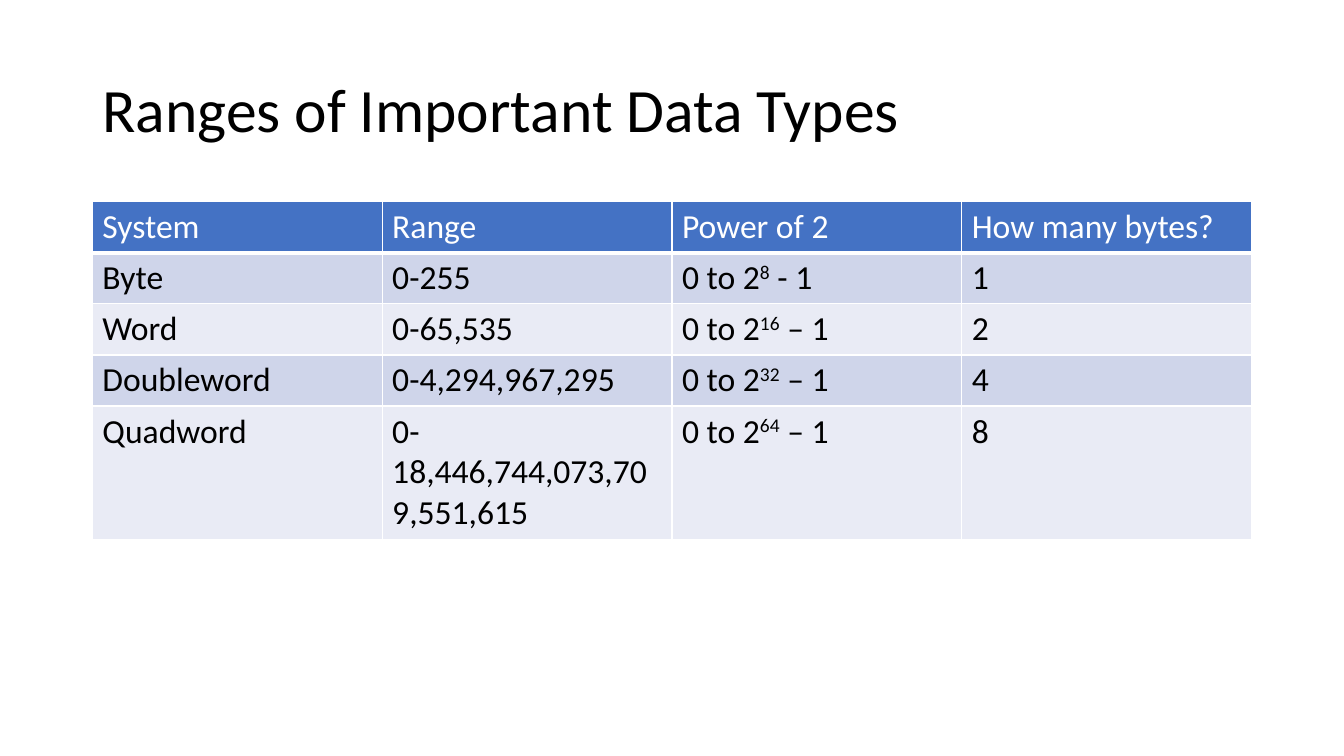
from dataclasses import dataclass

from pptx import Presentation
from pptx.dml.color import RGBColor
from pptx.enum.text import MSO_ANCHOR, MSO_AUTO_SIZE, PP_ALIGN
from pptx.oxml import parse_xml
from pptx.oxml.ns import nsdecls
from pptx.util import Emu, Pt

EMU_PER_PX = 9525
TITLE_ONLY = 5


@dataclass(frozen=True)
class Theme:
    font: str = "Calibri"
    title_size: int = 44
    table_size: int = 24
    text: str = "000000"
    header_text: str = "FFFFFF"
    header_fill: str = "4472C4"
    band_fills: tuple = ("CFD5EA", "E9EBF5")
    border: str = "FFFFFF"
    thin_border: int = 1
    header_border: int = 3


THEME = Theme()

HEADERS = ("System", "Range", "Power of 2", "How many bytes?")
# Each power is split into base, superscript and remainder.
DATA_TYPES = (
    ("Byte", "0-255", ("0 to 2", "8", " - 1"), "1"),
    ("Word", "0-65,535", ("0 to 2", "16", " – 1"), "2"),
    ("Doubleword", "0-4,294,967,295", ("0 to 2", "32", " – 1"), "4"),
    ("Quadword", "0-18,446,744,073,709,551,615", ("0 to 2", "64", " – 1"), "8"),
)


def px(value):
    return Emu(value * EMU_PER_PX)


def format_runs(paragraph, size, color):
    for run in paragraph.runs:
        run.font.name = THEME.font
        run.font.size = Pt(size)
        run.font.bold = False
        run.font.color.rgb = RGBColor.from_string(color)


def add_title(slide, text):
    title = slide.shapes.title
    title.left, title.top, title.width, title.height = map(px, (88, 38, 1104, 139))
    frame = title.text_frame
    frame.text = text
    frame.word_wrap = True
    frame.auto_size = MSO_AUTO_SIZE.NONE
    frame.vertical_anchor = MSO_ANCHOR.MIDDLE
    paragraph = frame.paragraphs[0]
    paragraph.alignment = PP_ALIGN.LEFT
    paragraph.line_spacing = 0.9
    format_runs(paragraph, THEME.title_size, THEME.text)


def set_borders(cell, bottom_width):
    """Draw all four sides; call before filling, since lines precede the fill in XML."""
    properties = cell._tc.get_or_add_tcPr()
    thin = THEME.thin_border
    for side, width in (("L", thin), ("R", thin), ("T", thin), ("B", bottom_width)):
        properties.append(parse_xml(
            f'<a:ln{side} {nsdecls("a")} w="{Pt(width)}"><a:solidFill>'
            f'<a:srgbClr val="{THEME.border}"/></a:solidFill></a:ln{side}>'))


def write_cell(cell, content, fill, color, bottom_width):
    """Write plain text, or a (base, superscript, remainder) tuple."""
    paragraph = cell.text_frame.paragraphs[0]
    if isinstance(content, tuple):
        for part in content:
            paragraph.add_run().text = part
        paragraph.runs[1]._r.get_or_add_rPr().set("baseline", "30000")
    else:
        paragraph.text = content
    format_runs(paragraph, THEME.table_size, color)
    set_borders(cell, bottom_width)
    cell.fill.solid()
    cell.fill.fore_color.rgb = RGBColor.from_string(fill)


def add_data_table(slide, headers, records):
    rows = (headers, *records)
    shape = slide.shapes.add_table(
        len(rows), len(headers), px(88), px(192), px(1104), px(317))
    table = shape.table
    for row in table.rows:
        row.height = px(39)
    shape.height = px(317)
    for row_index, values in enumerate(rows):
        if row_index == 0:
            style = THEME.header_fill, THEME.header_text, THEME.header_border
        else:
            band = THEME.band_fills[(row_index - 1) % 2]
            style = band, THEME.text, THEME.thin_border
        for column_index, content in enumerate(values):
            write_cell(table.cell(row_index, column_index), content, *style)


def main():
    presentation = Presentation()
    presentation.slide_width = px(1280)
    presentation.slide_height = px(720)
    slide = presentation.slides.add_slide(presentation.slide_layouts[TITLE_ONLY])
    add_title(slide, "Ranges of Important Data Types")
    add_data_table(slide, HEADERS, DATA_TYPES)
    presentation.save("out.pptx")


if __name__ == "__main__":
    main()
